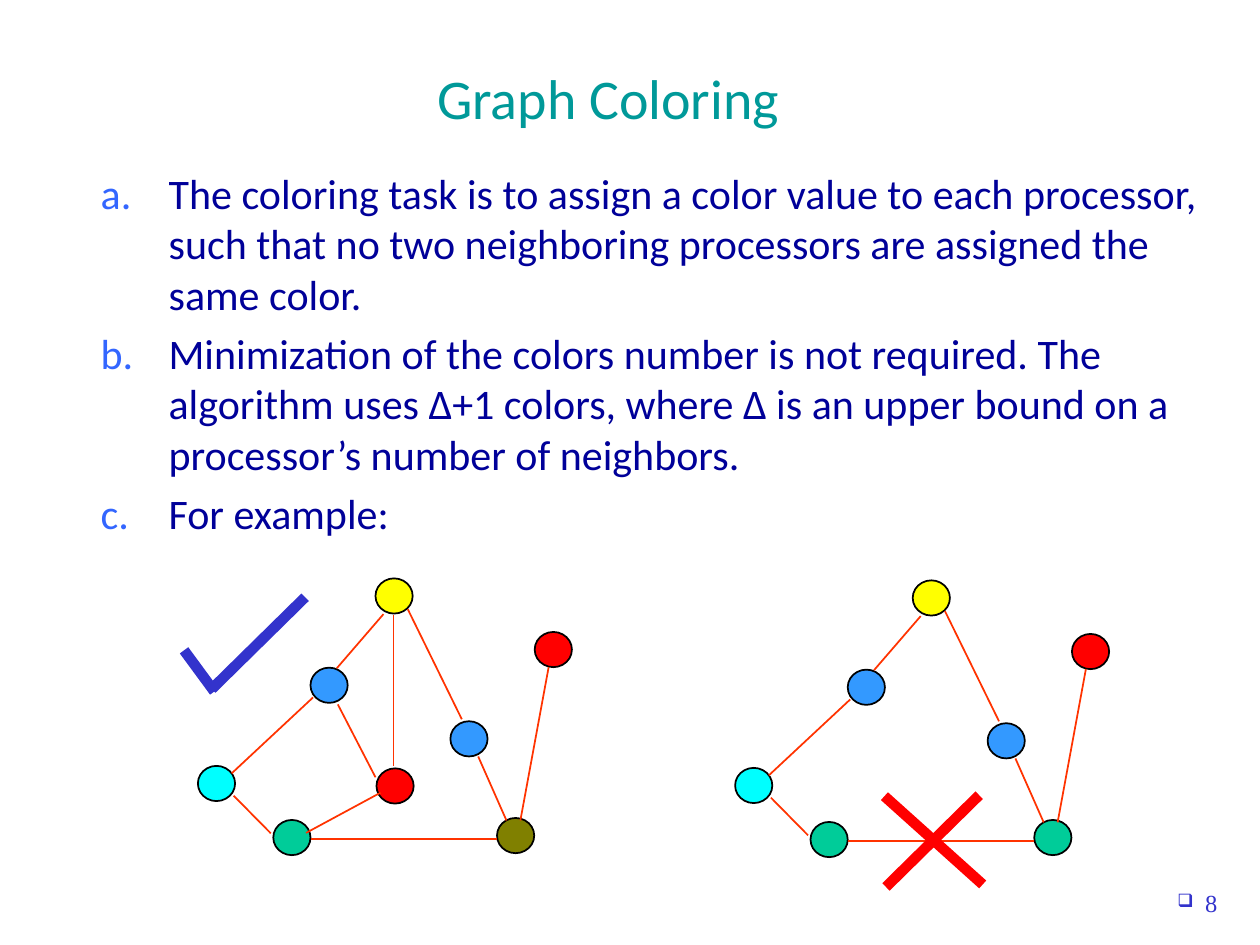
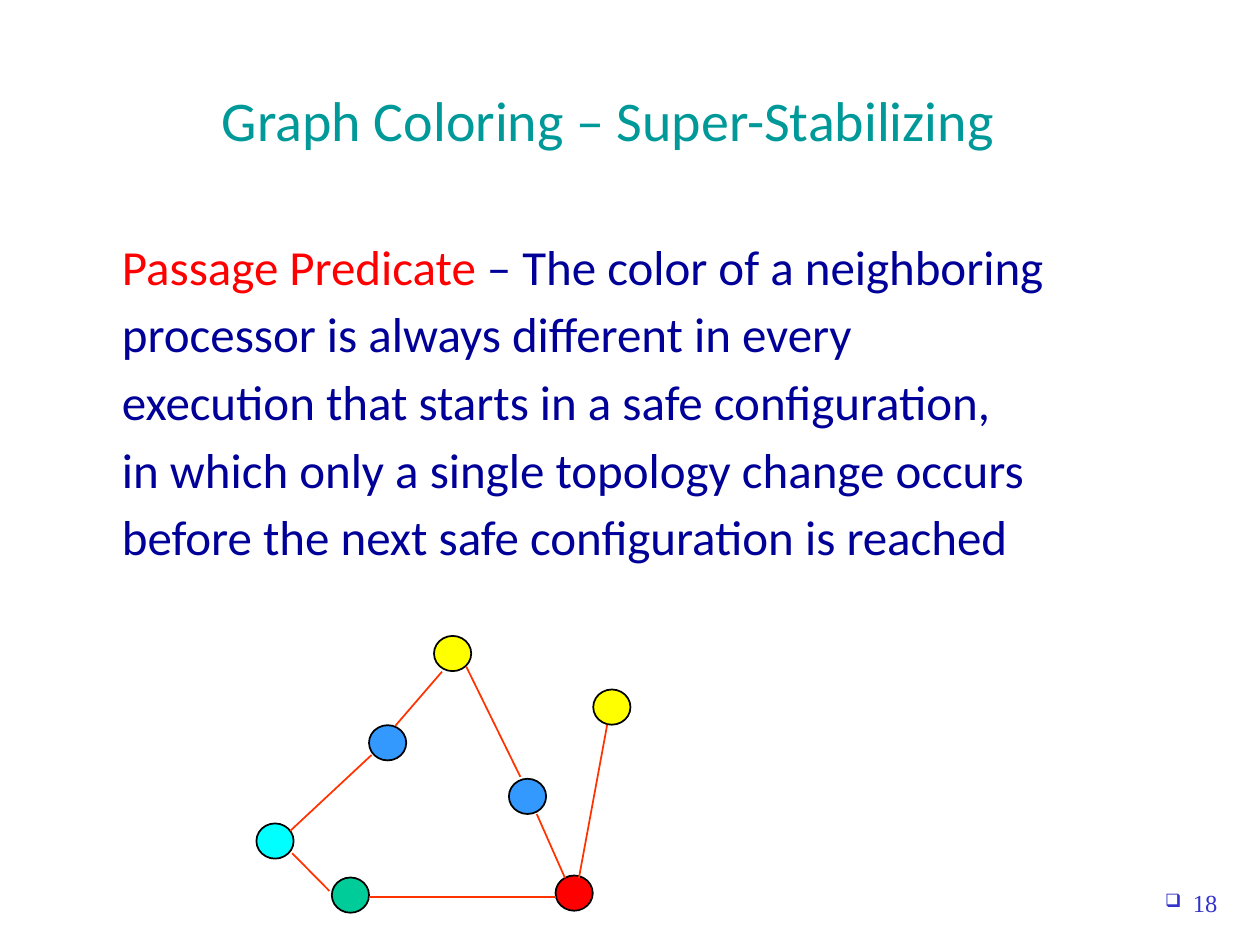
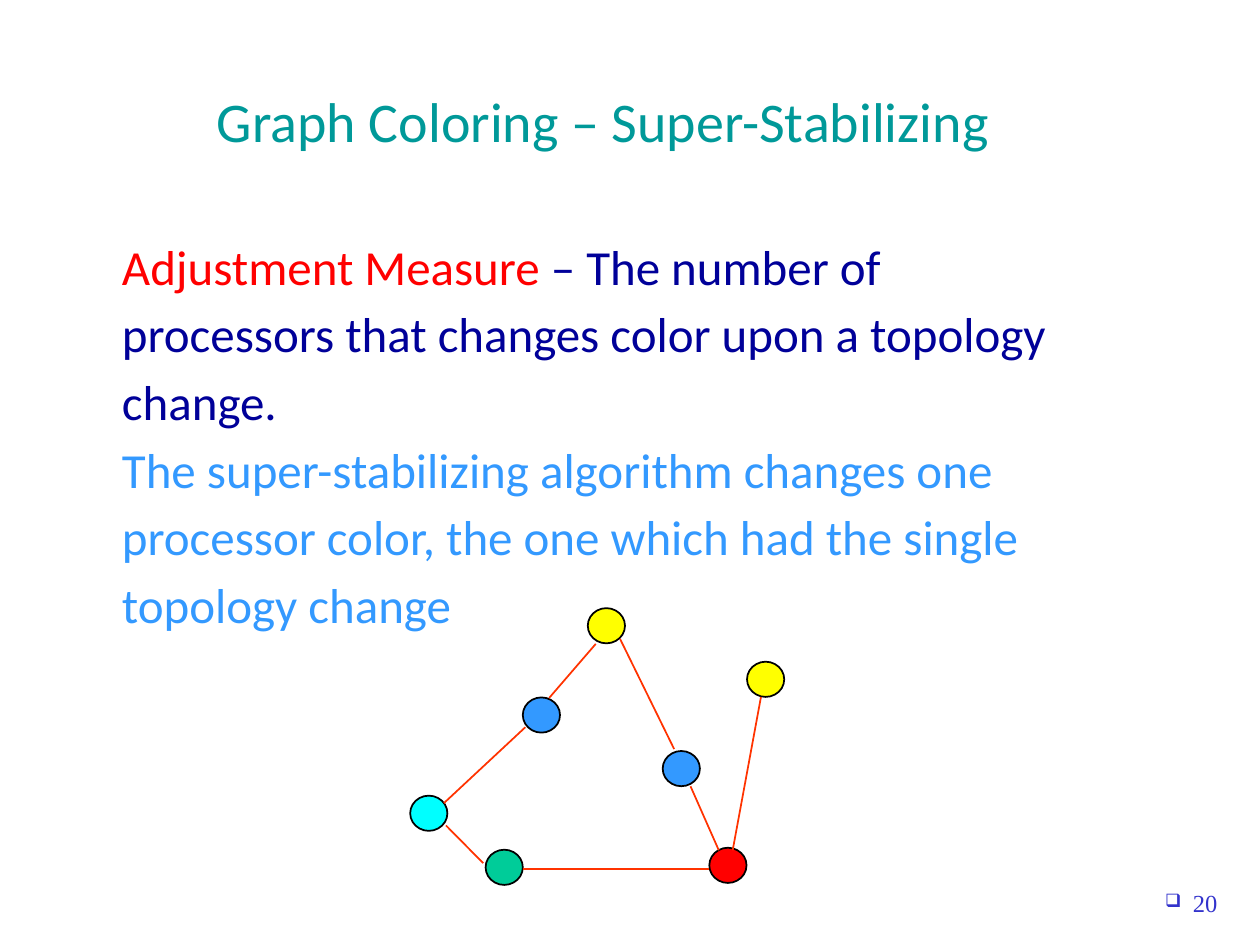
from lxml import etree
from pptx import Presentation
from pptx.dml.color import RGBColor
from pptx.enum.shapes import MSO_CONNECTOR, MSO_SHAPE
from pptx.enum.text import MSO_ANCHOR, PP_ALIGN
from pptx.oxml.ns import qn
from pptx.util import Cm, Pt

STRAIGHT = MSO_CONNECTOR.STRAIGHT
ELLIPSE = MSO_SHAPE.OVAL
MIDDLE, TOP = MSO_ANCHOR.MIDDLE, MSO_ANCHOR.TOP
LEFT, CENTER, RIGHT = PP_ALIGN.LEFT, PP_ALIGN.CENTER, PP_ALIGN.RIGHT

TEAL, NAVY, INDIGO, LETTER_BLUE = "009999", "000099", "3333CC", "3366FF"
RED, YELLOW, BLUE, CYAN = "FF0000", "FFFF00", "3399FF", "00FFFF"
GREEN, OLIVE, EDGE_ORANGE, BLACK = "00CC99", "808000", "FF3300", "000000"

# Graph geometry in cm, measured from the top node's upper left corner
NODE_WIDTH, NODE_HEIGHT = 0.75, 0.71
NODE_PLACES = {
    "top": (0, 0),
    "right": (1.51, 2.88),
    "far": (3.21, 1.08),
    "inner": (0.02, 3.83),
    "left": (-1.31, 1.8),
    "bottom": (-2.06, 4.87),
    "west": (-3.58, 3.78),
    "corner": (2.45, 4.83),
}
RING_EDGES = [
    ((0.16, 0.72), (-0.78, 1.81)),
    ((-2.86, 4.38), (-2.11, 5.14)),
    ((-1.26, 2.4), (-2.9, 3.93)),
    ((3.49, 1.79), (2.92, 4.88)),
    ((1.74, 2.84), (0.65, 0.62)),
    ((2.07, 3.59), (2.64, 4.88)),
    ((-1.31, 5.26), (2.45, 5.26)),
]
INNER_EDGES = [
    ((0.36, 0.74), (0.36, 3.78)),
    ((0.1, 4.32), (-1.4, 5.13)),
    ((-0.76, 2.54), (0, 4.01)),
]
RING_COLORS = {"top": YELLOW, "right": BLUE, "left": BLUE, "bottom": GREEN, "west": CYAN}


def rgb(color):
    return RGBColor.from_string(color)


def set_bullet(para, color, kind, margin, hanging, size=None, font=None, **attributes):
    """Give the paragraph a hanging bullet; kind is buAutoNum or buChar."""
    properties = para._p.get_or_add_pPr()
    properties.set("marL", str(Cm(margin)))
    properties.set("indent", str(-Cm(hanging)))
    bullet_color = etree.SubElement(properties, qn("a:buClr"))
    etree.SubElement(bullet_color, qn("a:srgbClr"), val=color)
    if size:
        etree.SubElement(properties, qn("a:buSzPct"), val=str(size * 1000))
    if font:
        etree.SubElement(properties, qn("a:buFont"), typeface=font)
    etree.SubElement(properties, qn("a:" + kind), **attributes)


class GraphDeck:
    def __init__(self):
        self.deck = Presentation()
        self.deck.slide_width, self.deck.slide_height = Cm(25.4), Cm(19.05)
        self.page = None

    def start_page(self, number, title, title_left, title_top):
        self.page = self.deck.slides.add_slide(self.deck.slide_layouts[6])
        number_box = self.text((23.06, 17.78, 1.73, 1.27), [[(number, INDIGO)]], 14,
                               RIGHT, font="Times New Roman")
        set_bullet(number_box.paragraphs[0], INDIGO, "buChar", 0.56, 0.56,
                   size=75, font="Wingdings", char="q")
        self.text((title_left, title_top, 21.59, 2.62), [[(title, TEAL)]], 32, CENTER, MIDDLE)

    def text(self, place, paragraphs, size, align=LEFT, anchor=TOP, font="Calibri", gap=0):
        """Add a text box; each paragraph is a list of (text, color) spans."""
        frame = self.page.shapes.add_textbox(*map(Cm, place)).text_frame
        frame.word_wrap = True
        frame.vertical_anchor = anchor
        for index, spans in enumerate(paragraphs):
            para = frame.paragraphs[0] if index == 0 else frame.add_paragraph()
            para.alignment = align
            para.space_before = Pt(gap)
            for words, color in spans:
                span = para.add_run()
                span.text = words
                span.font.name = font
                span.font.size = Pt(size)
                span.font.color.rgb = rgb(color)
        return frame

    def lettered_list(self, items):
        frame = self.text((0.51, 3.25, 24.38, 14.38), [[(item, NAVY)] for item in items],
                          24, gap=5)
        for para in frame.paragraphs:
            set_bullet(para, LETTER_BLUE, "buAutoNum", 2.64, 1.37, type="alphaLcPeriod")

    def statement(self, paragraphs):
        frame = self.text((0.51, 4.64, 24.38, 12.99), paragraphs, 28, gap=5)
        for para in frame.paragraphs:
            para._p.get_or_add_pPr().set("marL", str(Cm(1.7)))

    def line(self, start, end, color, width):
        line = self.page.shapes.add_connector(STRAIGHT, *map(Cm, start + end))
        line.line.color.rgb = rgb(color)
        line.line.width = Pt(width)
        etree.SubElement(line._element.spPr, qn("a:effectLst"))

    def node(self, left, top, color):
        node = self.page.shapes.add_shape(ELLIPSE, Cm(left), Cm(top),
                                          Cm(NODE_WIDTH), Cm(NODE_HEIGHT))
        node.shadow.inherit = False
        node.fill.solid()
        node.fill.fore_color.rgb = rgb(color)
        node.line.color.rgb = rgb(BLACK)
        node.line.width = Pt(1)

    def graph(self, left, top, edges=RING_EDGES, **colors):
        """Draw the ring with its usual colors plus the nodes named in colors."""
        colors = RING_COLORS | colors
        for name, (x, y) in NODE_PLACES.items():
            if name in colors:
                self.node(left + x, top + y, colors[name])
        for (x1, y1), (x2, y2) in edges:
            self.line((left + x1, top + y1), (left + x2, top + y2), EDGE_ORANGE, 1)

    def mark(self, color, *strokes):
        for start, end in strokes:
            self.line(start, end, color, 6)


def main():
    show = GraphDeck()

    show.start_page("8", "Graph Coloring", 1.47, 0.64)
    show.lettered_list([
        "The coloring task is to assign a color value to each processor, "
        "such that no two neighboring processors are assigned the same color.",
        "Minimization of the colors number is not required. The algorithm uses Δ+1 colors, "
        "where Δ is an upper bound on a processor’s number of neighbors.",
        "For example:",
    ])
    show.graph(7.57, 11.66, RING_EDGES + INNER_EDGES, far=RED, corner=OLIVE, inner=RED)
    show.graph(18.4, 11.7, far=RED, corner=GREEN)
    show.mark(RED, ((17.86, 17.88), (19.74, 16.03)), ((19.81, 17.83), (17.83, 16.05)))
    show.mark(INDIGO, ((4.27, 13.89), (6.15, 12.04)), ((4.32, 13.94), (3.71, 13.11)))

    show.start_page("18", "Graph Coloring – Super-Stabilizing", 1.47, 1.09)
    show.statement([
        [("Passage Predicate", RED), (" – The color of a neighboring", NAVY)],
        [("processor is always different in every", NAVY)],
        [("execution that starts in a safe configuration,", NAVY)],
        [("in which only a single topology change occurs", NAVY)],
        [("before the next safe configuration is reached", NAVY)],
    ])
    show.graph(8.75, 12.82, far=YELLOW, corner=RED)

    show.start_page("20", "Graph Coloring – Super-Stabilizing", 1.37, 1.12)
    show.statement([
        [("Adjustment Measure", RED), (" – The number of", NAVY)],
        [("processors that changes color upon a topology", NAVY)],
        [("change.", NAVY)],
        [("The super-stabilizing algorithm changes one", BLUE)],
        [("processor color, the one which had the single", BLUE)],
        [("topology change", BLUE)],
    ])
    show.graph(11.85, 12.26, far=YELLOW, corner=RED)

    show.deck.save("out.pptx")


if __name__ == "__main__":
    main()
